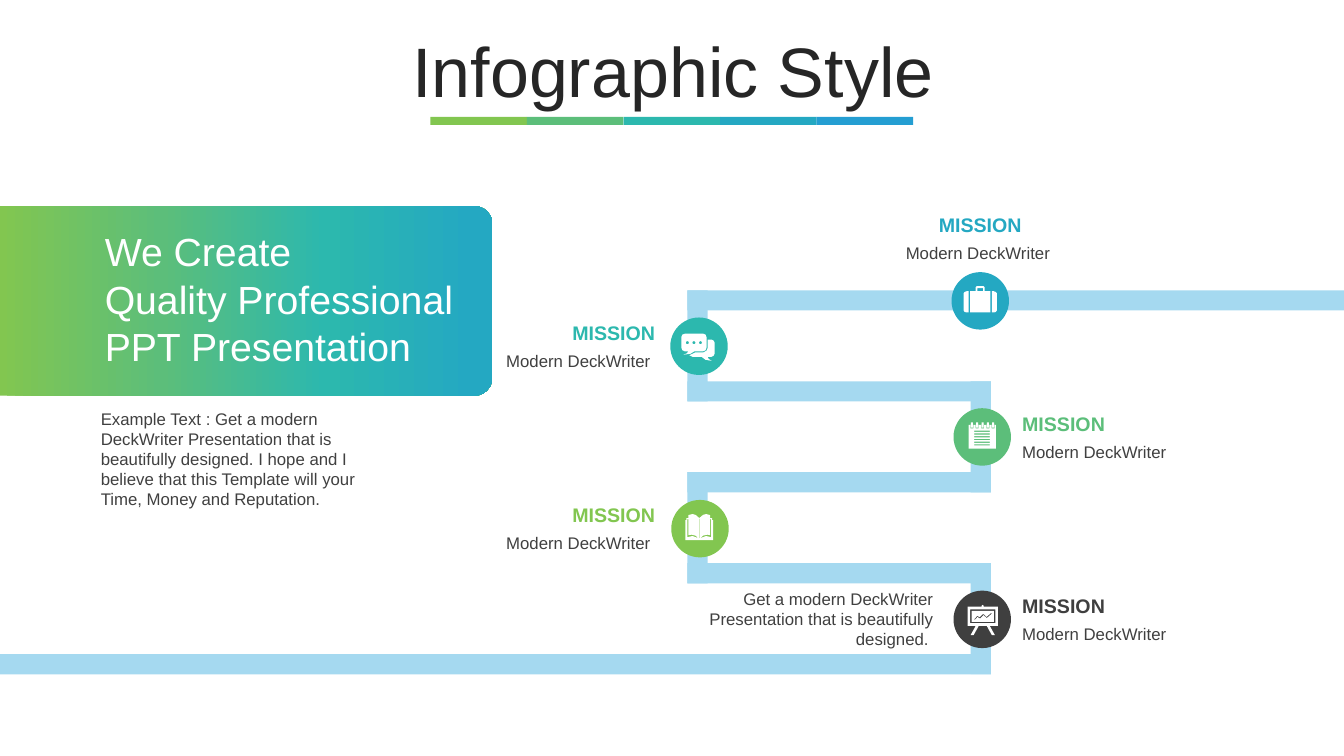
import math
from dataclasses import dataclass

import pptx
import pptx.dml.color
import pptx.enum.shapes
import pptx.enum.text
import pptx.oxml
import pptx.oxml.ns
import pptx.util
from pptx.util import Inches

SHAPES = pptx.enum.shapes.MSO_SHAPE
ALIGN = pptx.enum.text.PP_ALIGN
ANCHOR = pptx.enum.text.MSO_ANCHOR
SLIDE_WIDTH = 40 / 3
COLORS = {
    "lime": "82C650", "green": "5CBE7A", "teal": "2CB8AE", "cyan": "24A8C2",
    "blue": "249ED2", "dark": "3F3F3F", "body": "404040", "title": "262626",
    "road": "A5D9F0", "white": "FFFFFF",
}
Contour = list[tuple[float, float]]


@dataclass
class Milestone:
    color: str
    left: float
    top: float
    label_left: float
    label_top: float
    align: ALIGN
    anchor: ANCHOR
    caption: str
    icon: list[Contour]
    icon_left: float
    icon_top: float


def rgb(color: str) -> pptx.dml.color.RGBColor:
    return pptx.dml.color.RGBColor.from_string(COLORS[color])


def finish(shape, color: str):
    shape.shadow.inherit = False
    shape.fill.solid()
    shape.fill.fore_color.rgb = rgb(color)
    shape.line.fill.background()
    return shape


def add_block(slide, kind, left: float, top: float, width: float, height: float, color: str):
    shape = slide.shapes.add_shape(kind, Inches(left), Inches(top), Inches(width), Inches(height))
    return finish(shape, color)


def add_text(slide, text: str, left: float, top: float, width: float, height: float, *,
             size: float = 12, color: str = "body", bold: bool = False, align=ALIGN.LEFT,
             anchor=ANCHOR.TOP, inset: float = 0, spacing=None) -> None:
    shape = slide.shapes.add_textbox(Inches(left), Inches(top), Inches(width), Inches(height))
    frame = shape.text_frame
    frame.word_wrap = True
    frame.vertical_anchor = anchor
    frame.margin_left = frame.margin_right = Inches(inset)
    frame.margin_top = frame.margin_bottom = 0
    paragraph = frame.paragraphs[0]
    paragraph.alignment = align
    paragraph.line_spacing = spacing
    run = paragraph.add_run()
    run.text = text
    run.font.name = "Arial"
    run.font.size = pptx.util.Pt(size)
    run.font.bold = bold
    run.font.color.rgb = rgb(color)


def add_icon(slide, contours: list[Contour], left: float, top: float) -> None:
    """Draw contours given in hundredths of an inch; inner contours are holes."""
    placed = [[(Inches(left + x / 100), Inches(top + y / 100)) for x, y in contour]
              for contour in contours]
    builder = slide.shapes.build_freeform(*placed[0][0])
    for index, contour in enumerate(placed):
        if index:
            builder.move_to(*contour[0])
        builder.add_line_segments(contour[1:], close=True)
    finish(builder.convert_to_shape(), "white")


def box(left: float, top: float, right: float, bottom: float) -> Contour:
    return [(left, top), (right, top), (right, bottom), (left, bottom)]


def circle(x: float, y: float, radius: float) -> Contour:
    angles = [math.tau * step / 16 for step in range(16)]
    return [(x + radius * math.cos(a), y + radius * math.sin(a)) for a in angles]


def mirror(contour: Contour, width: float) -> Contour:
    return [(width - x, y) for x, y in contour]


# Icon outlines
case_side = [(5, 5), (3, 5), (1, 5.7), (0, 7), (0, 24), (1, 25.5), (3, 26), (5, 26)]
BRIEFCASE = [
    case_side, mirror(case_side, 33),
    [(6.5, 5), (12, 5), (12, 1), (13, 0), (20, 0), (21, 1), (21, 5), (26.5, 5), (26.5, 26), (6.5, 26)],
    box(13.7, 2, 19.3, 5),
]
CHAT = [
    [(4, 0), (21.5, 0), (24, 1), (25, 3.5), (25, 14), (24, 16.5), (21.5, 17.6), (13, 17.6), (9, 20),
     (2, 21), (5.5, 19.6), (7, 17.6), (3.5, 17.6), (1, 16.5), (0, 14), (0, 3.5), (1, 1)],
    [(26, 6), (30, 6), (32, 7), (33, 9), (33, 20), (32, 22), (30, 23), (26, 23), (27, 25), (30, 27),
     (24, 26), (20, 23), (11, 23), (8, 21.5), (14, 18.6), (22, 18.6), (25, 17), (26, 14.5)],
    *[circle(x, 9, 1.5) for x in (6, 12.5, 19)],
]
NOTEPAD = [
    box(0, 2.5, 27, 26),
    *[box(5.5, 8.3 + 2.7 * row, 21, 9.5 + 2.7 * row) for row in range(6)],
    *[box(1.7 + 5.3 * ring, 2.5, 4.7 + 5.3 * ring, 6) for ring in range(5)],
    *[box(2.2 + 5.3 * ring, 0, 4.2 + 5.3 * ring, 5.2) for ring in range(5)],
]
page_edge = [(3, 5), (2, 5), (2, 23), (7, 21.8), (13, 24), (10, 21.5), (6, 20.5), (3, 21)]
BOOK = [
    [(0, 6), (1, 6), (1, 4), (3, 4), (3, 1), (7, 0), (10, 0.8), (13.8, 4), (17.5, 0.8), (20.5, 0),
     (24.5, 1), (24.5, 4), (26.5, 4), (26.5, 6), (27.5, 6), (27.5, 26), (0, 26)],
    page_edge, mirror(page_edge, 27.5), box(13.5, 4.5, 14, 24),
]
EASEL = [
    [(14, 2), (14, 1), (15, 0), (16, 1), (16, 2), (30, 2), (30, 21), (22, 21), (27, 30), (24, 30),
     (19, 21), (11, 21), (6, 30), (3, 30), (8, 21), (0, 21), (0, 2)],
    box(2.5, 4.7, 27.5, 18.3), box(4, 6, 26, 17),
    [(6.5, 14.5), (9.5, 11), (12, 12.3), (15.5, 9), (18.8, 12), (23.5, 8), (24, 8.9), (19, 13.2),
     (15.7, 10.3), (12.3, 13.7), (9.8, 12.2), (7, 15)],
]

CAPTION = "Modern DeckWriter"
MILESTONES = [
    Milestone("dark", 9.46, 5.86, 10.14, 5.89, ALIGN.LEFT, ANCHOR.MIDDLE, CAPTION, EASEL, 9.6, 6),
    Milestone("green", 9.46, 4.05, 10.14, 4.08, ALIGN.LEFT, ANCHOR.MIDDLE, CAPTION, NOTEPAD, 9.61, 4.19),
    Milestone("lime", 6.66, 4.96, 4.49, 4.99, ALIGN.RIGHT, ANCHOR.MIDDLE, CAPTION + " ", BOOK, 6.8, 5.1),
    Milestone("teal", 6.65, 3.15, 4.49, 3.18, ALIGN.RIGHT, ANCHOR.MIDDLE, CAPTION + " ", CHAT, 6.76, 3.31),
    Milestone("cyan", 9.44, 2.7, 8.72, 2.11, ALIGN.CENTER, ANCHOR.TOP, CAPTION + " ", BRIEFCASE, 9.56, 2.84),
]


def add_title(slide) -> None:
    bar_width = (9.06 - 4.27) / 5
    for index, color in enumerate(("lime", "green", "teal", "cyan", "blue")):
        add_block(slide, SHAPES.RECTANGLE, 4.27 + index * bar_width, 1.16, bar_width, 0.08, color)
    add_text(slide, "Infographic Style", 0.35, 0.37, 12.66, 0.79, size=50, color="title",
             align=ALIGN.CENTER, anchor=ANCHOR.MIDDLE, inset=0.1, spacing=0.8)


def add_banner(slide) -> None:
    panel = add_block(slide, SHAPES.ROUND_2_SAME_RECTANGLE, 1.5, 0.54, 1.88, 4.89, "lime")
    panel.rotation = 90
    panel.adjustments[0] = 0.095
    panel.adjustments[1] = 0
    panel.fill.gradient()
    panel.fill.gradient_angle = 90
    stops = panel._element.spPr.find(".//" + pptx.oxml.ns.qn("a:gsLst"))
    for stop in list(stops):
        stops.remove(stop)
    for percent, color in ((0, "lime"), (33, "green"), (66, "teal"), (96, "cyan")):
        stops.append(pptx.oxml.parse_xml(
            f'<a:gs {pptx.oxml.ns.nsdecls("a")} pos="{percent * 1000}">'
            f'<a:srgbClr val="{COLORS[color]}"/></a:gs>'))


def add_road(slide) -> None:
    left, right, top, thickness = 6.82, 9.83, 2.88, 0.2
    step = (6.49 - top) / 4
    spans = [(left, SLIDE_WIDTH)] + [(left, right)] * 3 + [(0, right)]
    for row, (start, end) in enumerate(spans):
        y = top + row * step
        add_block(slide, SHAPES.RECTANGLE, start, y, end - start, thickness, "road")
        if row < 4:
            x = right - thickness if row % 2 else left
            add_block(slide, SHAPES.RECTANGLE, x, y, thickness, step + thickness, "road")


def add_milestone(slide, item: Milestone) -> None:
    add_block(slide, SHAPES.OVAL, item.left, item.top, 0.57, 0.57, item.color)
    add_text(slide, item.caption, item.label_left, item.label_top + 0.3, 2.01, 0.2,
             align=item.align, anchor=item.anchor)
    add_text(slide, "MISSION", item.label_left, item.label_top, 2.01, 0.24, size=14,
             color=item.color, bold=True, align=item.align, anchor=item.anchor)
    add_icon(slide, item.icon, item.icon_left, item.icon_top)


def main() -> None:
    presentation = pptx.Presentation()
    presentation.slide_width, presentation.slide_height = Inches(SLIDE_WIDTH), Inches(7.5)
    slide = presentation.slides.add_slide(presentation.slide_layouts[6])
    add_title(slide)
    add_banner(slide)
    add_road(slide)
    for item in MILESTONES:
        add_milestone(slide, item)

    # Banner wording and body text
    for row, line in enumerate(("We Create", "Quality Professional", "PPT Presentation")):
        add_text(slide, line, 1, 2.31 + 0.47 * row, 3.7, 0.42, size=28, color="white",
                 inset=0.04, spacing=pptx.util.Pt(30))
    add_text(slide, "Example Text : Get a modern DeckWriter Presentation that is beautifully "
             "designed. I hope and I believe that this Template will your Time, Money and "
             "Reputation.", 1, 4.05, 2.56, 1.01)
    add_text(slide, "Get a modern DeckWriter Presentation that is beautifully designed. ",
             7.02, 5.84, 2.24, 0.61, align=ALIGN.RIGHT)
    presentation.save("out.pptx")


if __name__ == "__main__":
    main()
